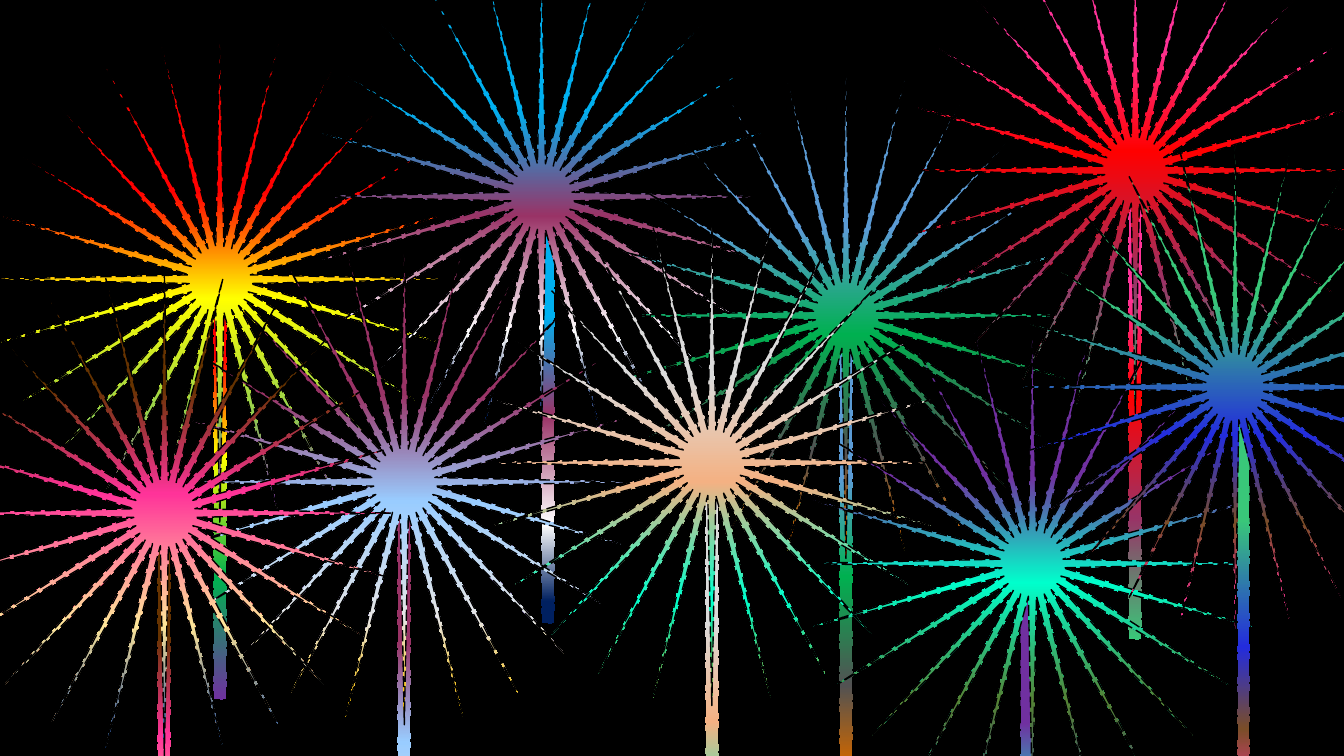
from copy import deepcopy

from pptx import Presentation
from pptx.dml.color import RGBColor
from pptx.enum.dml import MSO_LINE
from pptx.enum.shapes import MSO_SHAPE
from pptx.oxml.ns import qn
from pptx.util import Inches, Pt

STAR, STEM = MSO_SHAPE.STAR_24_POINT, MSO_SHAPE.RECTANGLE
DASH, DASH_DOT = MSO_LINE.LONG_DASH, MSO_LINE.LONG_DASH_DOT

BLACK = RGBColor(0x00, 0x00, 0x00)
WHITE = RGBColor(0xFF, 0xFF, 0xFF)
RED = RGBColor(0xFF, 0x00, 0x00)
YELLOW = RGBColor(0xFF, 0xFF, 0x00)
GREEN = RGBColor(0x00, 0xB0, 0x50)
LIME = RGBColor(0x92, 0xD0, 0x50)
PURPLE = RGBColor(0x70, 0x30, 0xA0)
SKY = RGBColor(0x00, 0xB0, 0xF0)
PLUM = RGBColor(0x99, 0x33, 0x66)
NAVY = RGBColor(0x00, 0x20, 0x60)
STEEL = RGBColor(0x5B, 0x9B, 0xD5)
GRAPHITE = RGBColor(0x52, 0x52, 0x52)
ORANGE = RGBColor(0xCC, 0x66, 0x00)
PINK = RGBColor(0xFF, 0x33, 0x99)
EMERALD = RGBColor(0x39, 0xC7, 0x79)
ICE = RGBColor(0x99, 0xCC, 0xFF)
SILVER = RGBColor(0xE7, 0xE6, 0xE6)
GOLD = RGBColor(0xFF, 0xC0, 0x00)
BROWN = RGBColor(0x66, 0x33, 0x00)
CREAM = RGBColor(0xFF, 0xE6, 0x99)
ROYAL = RGBColor(0x00, 0x33, 0x99)
PEARL = RGBColor(0xDB, 0xDB, 0xDB)
PEACH = RGBColor(0xF4, 0xB1, 0x83)
AQUA = RGBColor(0x00, 0xFF, 0xCC)
LEAF = RGBColor(0x70, 0xAD, 0x47)
FOREST = RGBColor(0x54, 0x82, 0x35)
SLATE = RGBColor(0x44, 0x54, 0x6A)
BLUE = RGBColor(0x23, 0x2C, 0xDD)
UMBER = RGBColor(0x7A, 0x4D, 0x28)

# Gradient stop positions, in percent from top to bottom
EARLY = (24, 46, 73, 100)
LATE = (32, 54, 78, 95)
WIDE = (32, 60, 78, 95)

# Burst centre (column, row), stem offset from it (columns, rows), stops, colours
FIREWORKS = [
    (2.18, 2.77, 0, -0.32, LATE, (RED, YELLOW, LIME, PURPLE)),
    (5.37, 1.95, 0.07, -0.26, LATE, (SKY, PLUM, WHITE, NAVY)),
    (8.39, 3.13, 0, 0.16, LATE, (STEEL, GREEN, GRAPHITE, ORANGE)),
    (11.26, 1.69, 0, 0.16, EARLY, (PINK, RED, PLUM, EMERALD)),
    (4.01, 4.78, 0, 0.15, LATE, (PLUM, ICE, SILVER, GOLD)),
    (1.63, 5.09, 0, 0.14, EARLY, (BROWN, PINK, CREAM, ROYAL)),
    (7.06, 4.59, 0, 0.14, LATE, (PEARL, PEACH, AQUA, LEAF)),
    (10.24, 5.59, -0.05, 0.14, LATE, (PURPLE, AQUA, FOREST, SLATE)),
    (12.25, 3.84, 0.08, -0.12, WIDE, (EMERALD, BLUE, UMBER, PINK)),
]
# Stems whose gradient differs from their burst
STEM_GRADIENTS = {0: (EARLY, (RED, YELLOW, GREEN, PURPLE))}
# Narrower firework: burst width, stem width
WIDTHS = {8: (4.2, 0.13)}


class Sky:
    """Draws on one slide; columns and rows are one inch each."""

    cell = Inches(1)
    burst_height, stem_height = 4.82, 4.5
    spike = 0.068

    def __init__(self, page):
        self.page = page
        page.background.fill.solid()
        page.background.fill.fore_color.rgb = BLACK

    def shape(self, kind, column, row, columns, rows, gradient):
        box = self.page.shapes.add_shape(
            kind, *(round(n * self.cell) for n in (column, row, columns, rows)))
        box.shadow.inherit = False
        self.paint(box, *gradient)
        return box

    def paint(self, box, positions, colours):
        """Fill from top to bottom with one stop per colour."""
        box.fill.gradient()
        box.fill.gradient_angle = 270
        stop_list = box.fill._xPr.find(qn("a:gradFill")).find(qn("a:gsLst"))
        while len(stop_list) < len(colours):
            stop_list.append(deepcopy(stop_list[0]))
        for stop, position, colour in zip(box.fill.gradient_stops, positions, colours):
            stop.position = position / 100
            stop.color.rgb = colour

    def outline(self, box, width, dash):
        box.line.color.rgb = BLACK
        box.line.width = Pt(width)
        box.line.dash_style = dash

    def stem(self, column, row, columns, gradient):
        box = self.shape(STEM, column - columns / 2, row, columns,
                         self.stem_height, gradient)
        self.outline(box, 1.5, DASH_DOT)

    def burst(self, column, row, columns, gradient):
        box = self.shape(STAR, column - columns / 2, row - self.burst_height / 2,
                         columns, self.burst_height, gradient)
        box.adjustments[0] = self.spike
        self.outline(box, 1, DASH)


def main():
    deck = Presentation()
    deck.slide_width, deck.slide_height = Inches(13.33), Inches(7.5)
    sky = Sky(deck.slides.add_slide(deck.slide_layouts[6]))
    for index, (column, row, shift, drop, *gradient) in enumerate(FIREWORKS):
        burst_width, stem_width = WIDTHS.get(index, (4.49, 0.14))
        sky.stem(column + shift, row + drop, stem_width,
                 STEM_GRADIENTS.get(index, gradient))
        sky.burst(column, row, burst_width, gradient)
    deck.save("out.pptx")


if __name__ == "__main__":
    main()
